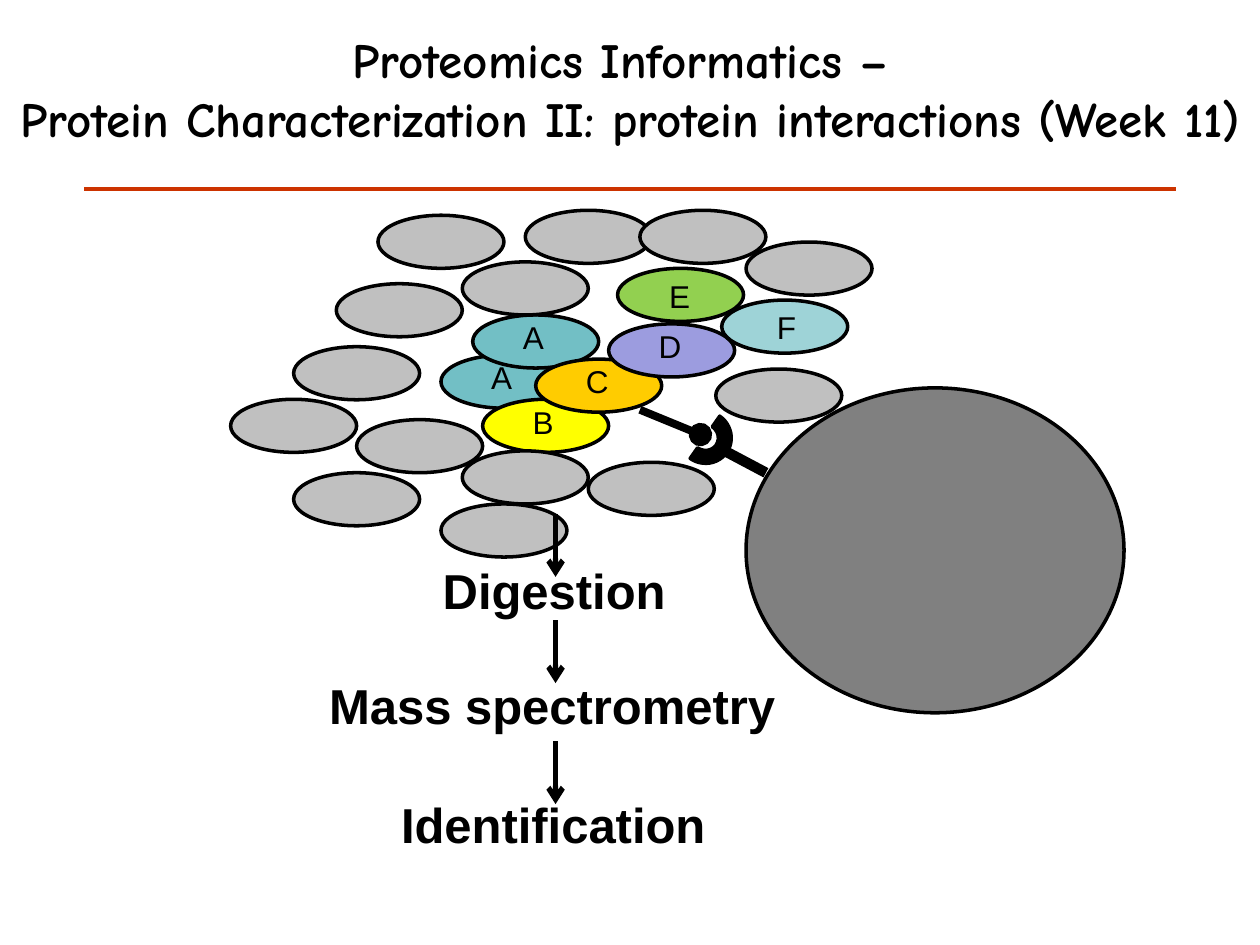
"""Build a slide on finding protein interactions with a bead pull-down and mass spectrometry."""
from pptx import Presentation, util as u
from pptx.dml.color import RGBColor
from pptx.enum import shapes as sh, text as tx
from pptx.oxml.ns import qn
from lxml import etree

HUE = {"ink": "000000", "teal": "72BFC5", "yellow": "FFFF00", "orange": "FFCC00",
       "violet": "9C9CDF", "green": "92D050", "aqua": "9ED3D7", "grey": "C0C0C0",
       "bead": "808080", "rule": "CC3300"}
TITLE = ["Proteomics Informatics – ",
         "Protein Characterization II: protein interactions (Week 11)"]
BOUND = [("A", "teal", 8.89, 7.16, 0.76, -0.06), ("B", "yellow", 9.73, 8.05, 0.76, -0.06),
         ("A", "teal", 9.53, 6.35, 0.76, -0.06), ("C", "orange", 10.8, 7.24, 0.76, -0.06),
         ("D", "violet", 12.27, 6.53, 0.76, -0.06), ("E", "green", 12.45, 5.41, 0.79, 0.05),
         ("F", "aqua", 14.55, 6.05, 0.86, 0.03)]
LOOSE = [(7.19, 8.46), (5.92, 6.99), (6.78, 5.72), (9.32, 5.28), (9.32, 9.09),
         (14.43, 7.44), (10.59, 4.24), (11.86, 9.32), (4.65, 8.05), (5.92, 9.53),
         (7.62, 4.34), (8.89, 10.16), (12.9, 4.24), (15.04, 4.88)]
STEPS = [("Digestion", 5.05, 11.18, 10.36), ("Mass spectrometry", 9.63, 13.49, 12.5),
         ("Identification", 6.73, 15.9, 14.94)]
SIZE = (2.54, 1.07)
AXIS, DROP = 11.2, 1.27
SMALL = {"name": "Arial", "size": u.Pt(18), "bold": False}
LARGE = {"name": "Arial", "size": u.Pt(28), "bold": True}
HEAD = {"name": "Comic Neue", "size": u.Pt(28), "bold": True}


def rgb(hue):
    return RGBColor.from_string(HUE[hue])


def cm(*nums):
    return [u.Cm(n) for n in nums]


def shape(page, kind, hue, *box):
    item = page.shapes.add_shape(kind, *cm(*box))
    item.shadow.inherit = False
    item.fill.solid()
    item.fill.fore_color.rgb = rgb(hue)
    item.line.color.rgb = rgb("ink")
    item.line.width = u.Pt(2)
    return item


def line(page, ends, width, hue="ink", tail=None):
    item = page.shapes.add_connector(sh.MSO_CONNECTOR.STRAIGHT, *cm(*ends))
    item.line.color.rgb = rgb(hue)
    item.line.width = u.Pt(width)
    props = item.line._get_or_add_ln()
    if tail:
        etree.SubElement(props, qn("a:tailEnd"), type=tail)
    etree.SubElement(props.getparent(), qn("a:effectLst"))


def label(page, lines, box, style, wrap=False, align=tx.PP_ALIGN.LEFT):
    frame = page.shapes.add_textbox(*cm(*box)).text_frame
    frame.word_wrap = wrap
    if wrap:
        frame.vertical_anchor = tx.MSO_ANCHOR.MIDDLE
    else:
        frame.auto_size = tx.MSO_AUTO_SIZE.SHAPE_TO_FIT_TEXT
    frame.text = "\n".join(lines)
    for para in frame.paragraphs:
        para.alignment = align
        for run in para.runs:
            run.font.color.rgb = rgb("ink")
            for key, val in style.items():
                setattr(run.font, key, val)


def main():
    deck = Presentation()
    deck.slide_width, deck.slide_height = cm(25.4, 19.05)
    page = deck.slides.add_slide(deck.slide_layouts[6])
    oval = sh.MSO_SHAPE.OVAL
    for name, hue, left, top, right, down in BOUND:
        shape(page, oval, hue, left, top, *SIZE)
        label(page, [name], (left + right, top + down, 0.95, 1.02), SMALL)
    for spot in LOOSE:
        shape(page, oval, "grey", *spot, *SIZE)

    line(page, (12.9, 8.26, 14.12, 8.76), 4.5, tail="oval")
    shape(page, oval, "bead", 15.04, 7.82, 7.62, 6.55)
    line(page, (15.44, 9.53, 14.61, 9.09), 6)
    shape(page, sh.MSO_SHAPE.BLOCK_ARC, "ink", 13.69, 8.28, 1.04, 1.07).rotation = 125

    for name, wide, top, start in STEPS:
        label(page, [name], (AXIS - wide / 2, top, wide, 1.45), LARGE)
        line(page, (AXIS, start, AXIS, start + DROP), 3, tail="arrow")

    label(page, TITLE, (0, 0.84, 25.4, 1.9), HEAD, True, tx.PP_ALIGN.CENTER)
    line(page, (1.7, 3.81, 23.7, 3.81), 2.5, "rule")
    deck.save("out.pptx")


if __name__ == "__main__":
    main()
